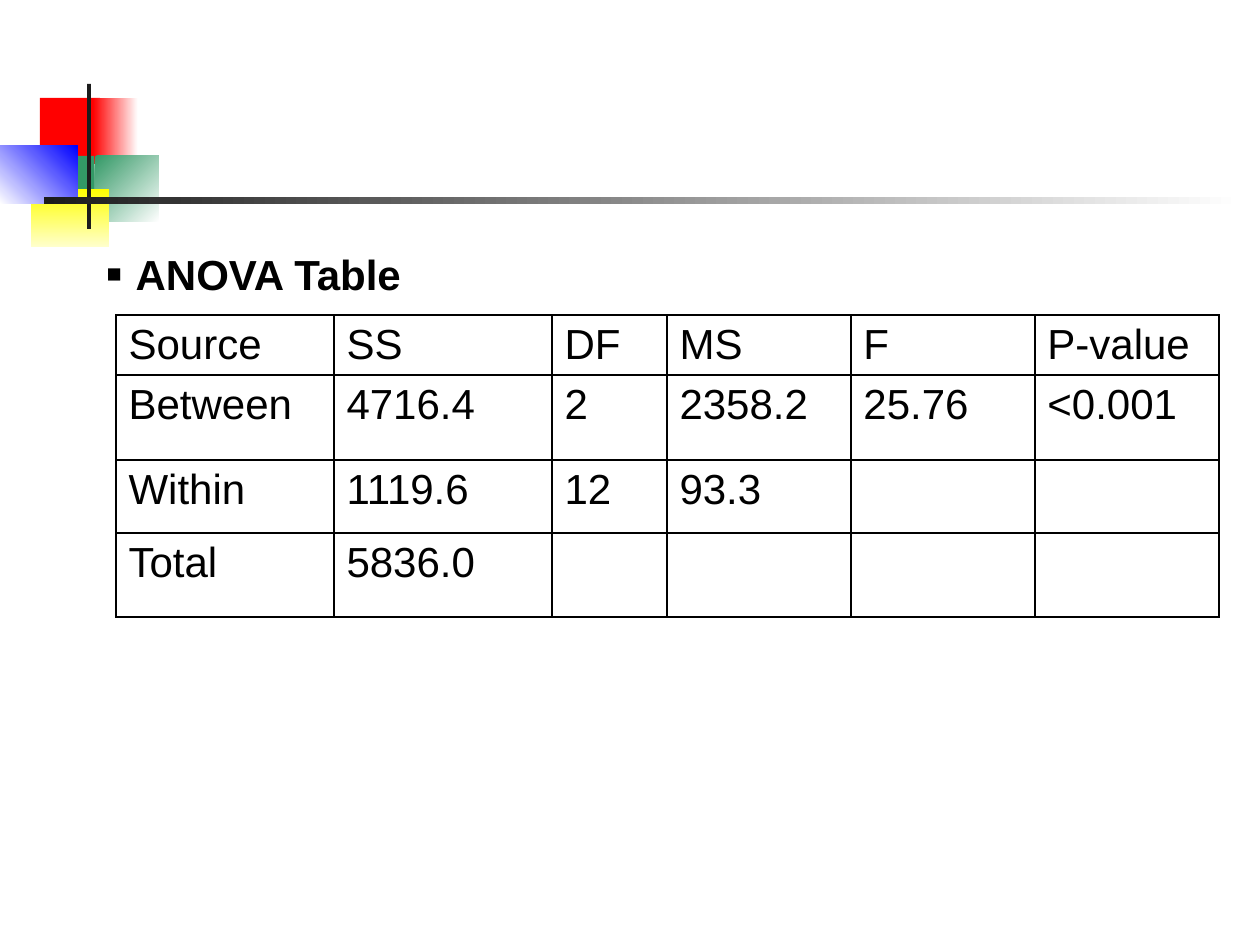
from lxml import etree
from pptx import Presentation
from pptx.dml.color import RGBColor
from pptx.enum.shapes import MSO_SHAPE
from pptx.enum.text import MSO_ANCHOR, MSO_AUTO_SIZE, PP_ALIGN
from pptx.oxml.ns import qn
from pptx.util import Emu, Pt

RECT = MSO_SHAPE.RECTANGLE
BOTTOM = MSO_ANCHOR.BOTTOM
LEFT = PP_ALIGN.LEFT
NO_FIT = MSO_AUTO_SIZE.NONE
SCALE = 914400 / 126
BLACK = "000000"

TITLE = "ANOVA Table"
TITLE_BOX = (94, 220, 1113, 85)
BULLET_INDENT = 29

DECOR = [
    ((40, 98, 60, 66), ["FF0000"], 0),
    ((93, 98, 45, 66), ["FF0000", "FFFFFF"], 0),
    ((95, 156, 64, 66), ["339966", "FFFFFF"], 45),
    ((54, 156, 40, 66), ["339966"], 0),
    ((31, 189, 78, 58), ["FFFF00", "FFFFCC"], 90),
    ((0, 146, 78, 58), ["FFFFFF", "0000FF"], 315),
    ((87, 84, 4, 145), ["1C1C1C"], 0),
    ((44, 197, 1198, 7), ["1C1C1C", "FFFFFF"], 0),
]

TABLE_AT = (116, 315)
COLS = [218, 218, 115, 184, 184, 184]
ROWS = [60, 85, 73, 84]
CELLS = [
    ["Source", "SS", "DF", "MS", "F", "P-value"],
    ["Between", "4716.4", "2", "2358.2", "25.76", "<0.001"],
    ["Within", "1119.6", "12", "93.3", "", ""],
    ["Total", "5836.0", "", "", "", ""],
]


def px(n):
    return Emu(round(n * SCALE))


def rgb(value):
    return RGBColor.from_string(value)


def style(font, **values):
    for name, value in {"name": "Arial", "size": Pt(24), **values}.items():
        setattr(font, name, value)
    font.color.rgb = rgb(BLACK)


def add_block(s, box, colours, angle):
    sp = s.shapes.add_shape(RECT, *map(px, box))
    sp.shadow.inherit = False
    sp.line.fill.background()
    if len(colours) == 1:
        sp.fill.solid()
        sp.fill.fore_color.rgb = rgb(colours[0])
        return
    sp.fill.gradient()
    sp.fill.gradient_angle = (360 - angle) % 360
    for stop, colour in zip(sp.fill.gradient_stops, colours):
        stop.color.rgb = rgb(colour)


def add_borders(cell):
    tc_pr = cell._tc.get_or_add_tcPr()
    for side in ("lnL", "lnR", "lnT", "lnB"):
        ln = etree.SubElement(tc_pr, qn(f"a:{side}"), w=str(Pt(1)))
        fill = etree.SubElement(ln, qn("a:solidFill"))
        etree.SubElement(fill, qn("a:srgbClr"), val=BLACK)


def format_title(title):
    for name, n in zip(("left", "top", "width", "height"), TITLE_BOX):
        setattr(title, name, px(n))
    tf = title.text_frame
    for name, value in {"vertical_anchor": BOTTOM, "word_wrap": True, "auto_size": NO_FIT}.items():
        setattr(tf, name, value)
    p = tf.paragraphs[0]
    p.alignment = LEFT
    r = p.add_run()
    r.text = TITLE
    style(r.font, bold=True)
    p_pr = p._p.get_or_add_pPr()
    p_pr.set("marL", str(px(BULLET_INDENT)))
    p_pr.set("indent", str(-px(BULLET_INDENT)))
    for tag, attrs in (
        ("buSzPct", {"val": "60000"}),
        ("buFont", {"typeface": "Arial"}),
        ("buChar", {"char": "■"}),
    ):
        etree.SubElement(p_pr, qn(f"a:{tag}"), attrs)
    title.element.getparent().append(title.element)


def add_anova_table(s):
    frame = s.shapes.add_table(
        len(ROWS), len(COLS), *map(px, (*TABLE_AT, sum(COLS), sum(ROWS)))
    )
    table = frame.table
    table.first_row = table.horz_banding = False
    for column, width in zip(table.columns, COLS):
        column.width = px(width)
    for row, height, texts in zip(table.rows, ROWS, CELLS):
        row.height = px(height)
        for cell, text in zip(row.cells, texts):
            add_borders(cell)
            cell.fill.background()
            if text:
                r = cell.text_frame.paragraphs[0].add_run()
                r.text = text
                style(r.font)


prs = Presentation()
prs.slide_width, prs.slide_height = px(1260), px(945)
s = prs.slides.add_slide(prs.slide_layouts[5])
for block in DECOR:
    add_block(s, *block)
add_anova_table(s)
format_title(s.shapes.title)
prs.save("out.pptx")
